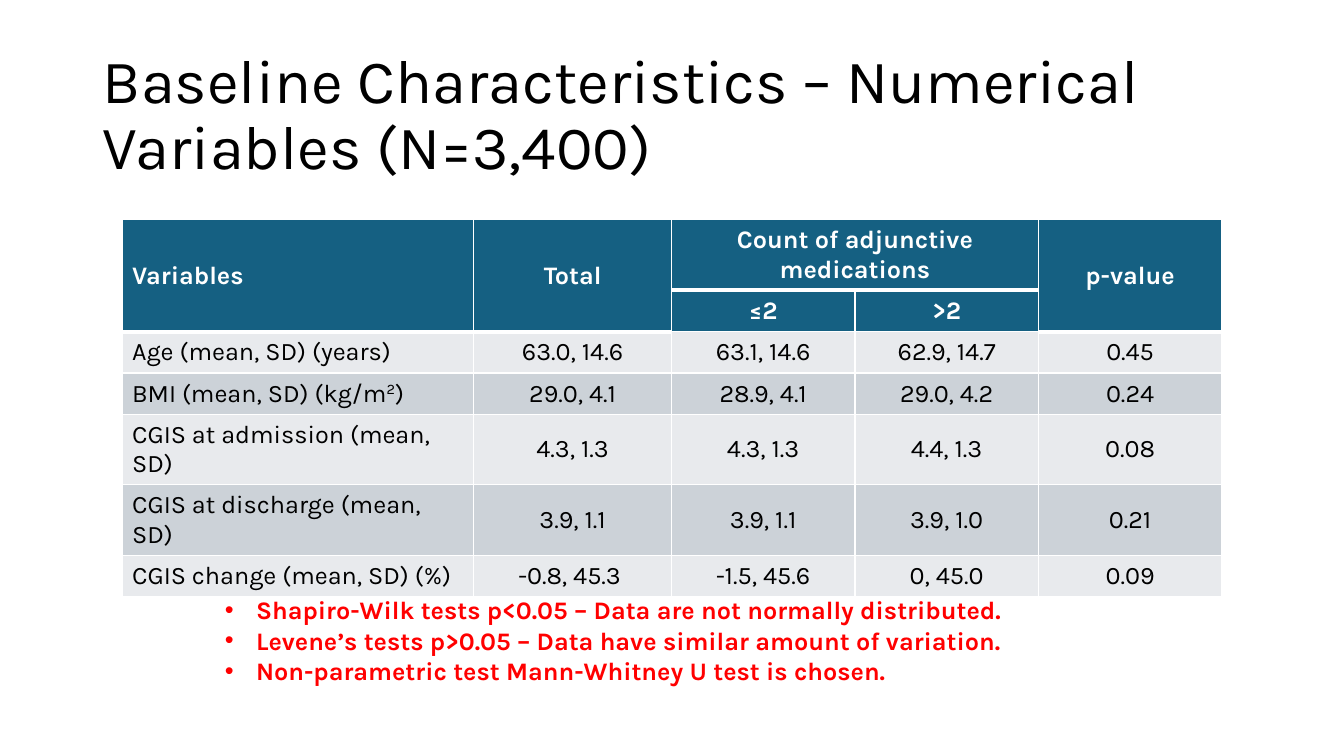
from lxml.etree import SubElement
from pptx import Presentation
from pptx.dml.color import RGBColor
from pptx.enum.text import MSO_ANCHOR, MSO_AUTO_SIZE, PP_ALIGN
from pptx.oxml.ns import qn
from pptx.util import Pt

PX = 9144
FONT = "Karla"
COLORS = {
    "text": "000000",
    "note": "FF0000",
    "white": "FFFFFF",
    "header": "156082",
    "light": "E8EAED",
    "dark": "CCD2D8",
}
COLUMN_WIDTHS = [349, 196, 182, 182, 182]
ROW_HEIGHT = 41
HEADER_ROWS = [
    ["Variables", "Total", "Count of adjunctive medications", "", "p-value"],
    ["", "", "≤2", ">2", ""],
]
DATA_ROWS = [
    ["Age (mean, SD) (years)", "63.0, 14.6", "63.1, 14.6", "62.9, 14.7", "0.45"],
    ["BMI (mean, SD) (kg/m^2^)", "29.0, 4.1", "28.9, 4.1", "29.0, 4.2", "0.24"],
    ["CGIS at admission (mean, SD)", "4.3, 1.3", "4.3, 1.3", "4.4, 1.3", "0.08"],
    ["CGIS at discharge (mean, SD)", "3.9, 1.1", "3.9, 1.1", "3.9, 1.0", "0.21"],
    ["CGIS change (mean, SD) (%)", "-0.8, 45.3 ", "-1.5, 45.6", "0, 45.0", "0.09"],
]
MERGES = [(0, 0, 1, 0), (0, 1, 1, 1), (0, 2, 0, 3), (0, 4, 1, 4)]
NOTES = [
    "Shapiro-Wilk tests p<0.05 – Data are not normally distributed.",
    "Levene’s tests p>0.05 – Data have similar amount of variation.",
    "Non-parametric test Mann-Whitney U test is chosen.",
]


def write(para, text, size=18, color="text", bold=False, align=PP_ALIGN.LEFT, spacing=1.0):
    para.alignment = align
    para.line_spacing = spacing
    para.space_before = Pt(0)
    for index, part in enumerate(text.split("^")):
        span = para.add_run()
        span.text = part
        span.font.name = FONT
        span.font.size = Pt(size)
        span.font.bold = bold
        span.font.color.rgb = RGBColor.from_string(COLORS[color])
        if index % 2:
            span.font._element.set("baseline", "30000")


class SlideBuilder:
    def __init__(self, deck):
        self.page = deck.slides.add_slide(deck.slide_layouts[1])

    def place(self, box, left, top, width, height):
        box.left, box.top = left * PX, top * PX
        box.width, box.height = width * PX, height * PX

    def title(self, text, *bounds):
        box = self.page.shapes.title
        self.place(box, *bounds)
        frame = box.text_frame
        frame.auto_size = MSO_AUTO_SIZE.NONE
        frame.vertical_anchor = MSO_ANCHOR.MIDDLE
        write(frame.paragraphs[0], text, size=44, spacing=0.9)

    def bullets(self, lines, *bounds, indent=31):
        box = self.page.placeholders[1]
        self.place(box, *bounds)
        frame = box.text_frame
        frame.auto_size = MSO_AUTO_SIZE.SHAPE_TO_FIT_TEXT
        frame.vertical_anchor = MSO_ANCHOR.TOP
        for index, line in enumerate(lines):
            para = frame.add_paragraph() if index else frame.paragraphs[0]
            write(para, line, color="note", bold=True)
            properties = para._p.get_or_add_pPr()
            properties.set("marL", str(indent * PX))
            properties.set("indent", str(-indent * PX))
            SubElement(properties, qn("a:buFont"), typeface="Arial")
            SubElement(properties, qn("a:buChar"), char="•")

    def borders(self, cell, bottom):
        properties = cell._tc.get_or_add_tcPr()
        for side, width in (("L", 1), ("R", 1), ("T", 1), ("B", bottom)):
            line = SubElement(properties, qn(f"a:ln{side}"), w=str(Pt(width)))
            fill = SubElement(line, qn("a:solidFill"))
            SubElement(fill, qn("a:srgbClr"), val=COLORS["white"])

    def table(self, headers, rows, left, top):
        content = headers + rows
        table = self.page.shapes.add_table(
            len(content), len(COLUMN_WIDTHS), left * PX, top * PX,
            sum(COLUMN_WIDTHS) * PX, len(content) * ROW_HEIGHT * PX,
        ).table
        for column, width in zip(table.columns, COLUMN_WIDTHS):
            column.width = width * PX
        for row_index, values in enumerate(content):
            is_header = row_index < len(headers)
            band = "header" if is_header else ("light", "dark")[row_index % 2]
            for column_index, value in enumerate(values):
                cell = table.cell(row_index, column_index)
                cell.vertical_anchor = MSO_ANCHOR.MIDDLE
                self.borders(cell, bottom=1 if row_index else 3)
                cell.fill.solid()
                cell.fill.fore_color.rgb = RGBColor.from_string(COLORS[band])
                if value:
                    write(
                        cell.text_frame.paragraphs[0], value, bold=is_header,
                        color="white" if is_header else "text",
                        align=PP_ALIGN.CENTER if column_index else PP_ALIGN.LEFT,
                    )
        for first_row, first_column, last_row, last_column in MERGES:
            table.cell(first_row, first_column).merge(table.cell(last_row, last_column))


def main():
    deck = Presentation()
    deck.slide_width, deck.slide_height = 1333 * PX, 750 * PX
    builder = SlideBuilder(deck)
    builder.title("Baseline Characteristics – Numerical Variables (N=3,400)", 92, 43, 1150, 145)
    builder.table(HEADER_ROWS, DATA_ROWS, 121, 218)
    builder.bullets(NOTES, 213, 585, 907, 101)
    deck.save("out.pptx")


if __name__ == "__main__":
    main()
